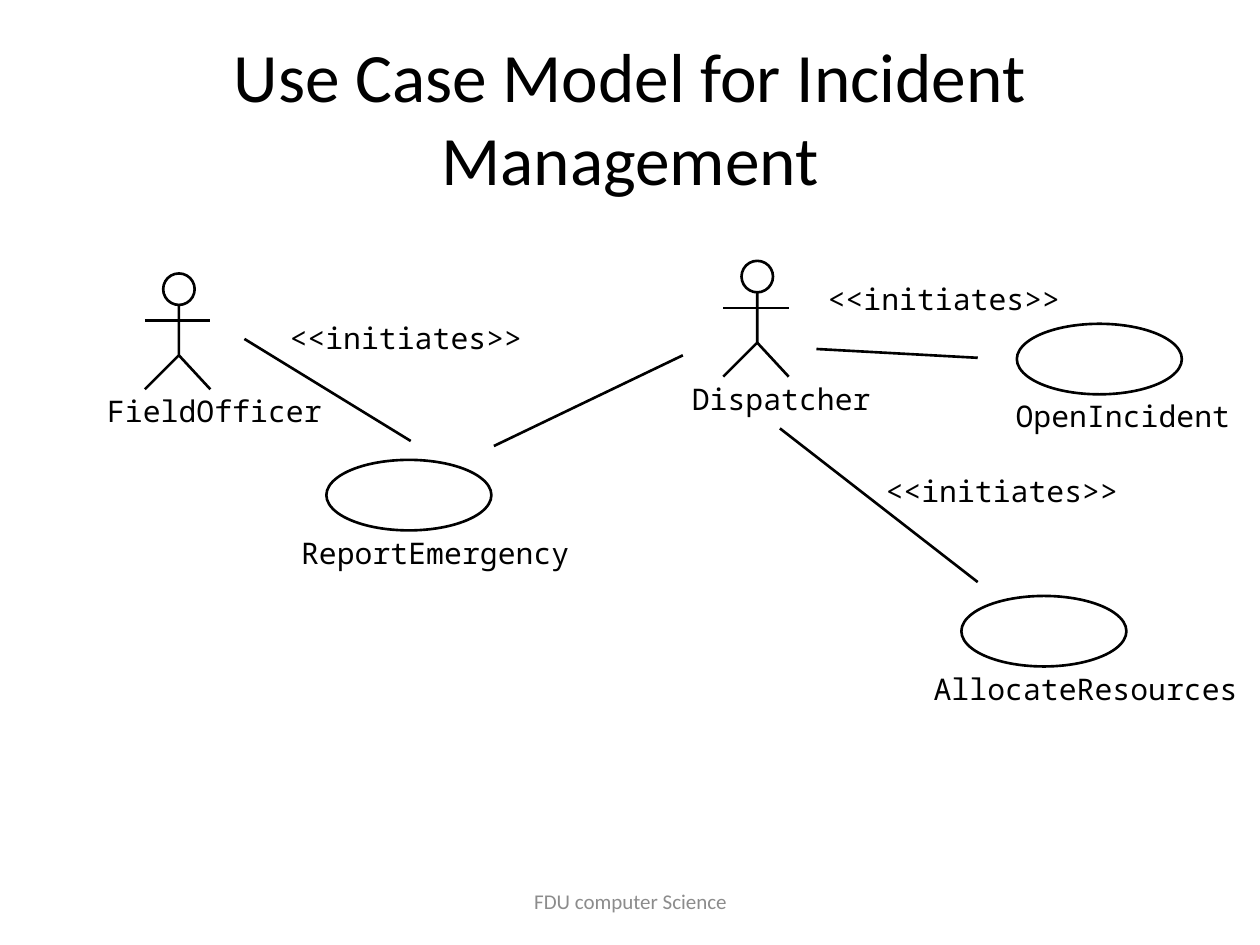
from lxml.etree import SubElement
from pptx import Presentation
from pptx.dml.color import RGBColor
from pptx.enum.shapes import MSO_CONNECTOR, MSO_SHAPE
from pptx.enum.text import MSO_ANCHOR, MSO_AUTO_SIZE, PP_ALIGN
from pptx.oxml.ns import qn
from pptx.util import Inches, Pt

BLACK = RGBColor(0, 0, 0)
WHITE = RGBColor(255, 255, 255)
GRAY = RGBColor(0x8C, 0x8C, 0x8C)

# Content: positions in inches
TITLE = "Use Case Model for Incident Management"
FOOTER = "FDU computer Science"
ACTORS = [  # name, centre x, head top, label left, label width
    ("FieldOfficer", 1.42, 2.17, 0.85, 1.71),
    ("Dispatcher", 6.01, 2.07, 5.49, 1.42),
]
USE_CASES = [  # name, ellipse left, ellipse top, label left, label width
    ("ReportEmergency", 2.59, 3.65, 2.39, 2.13),
    ("OpenIncident", 8.07, 2.57, 8.06, 1.71),
    ("AllocateResources", 7.63, 4.73, 7.41, 2.42),
]
ASSOCIATIONS = [  # start x, start y, end x, end y
    (1.94, 2.69, 3.26, 3.5),
    (6.19, 3.4, 7.76, 4.62),
    (6.48, 2.77, 7.76, 2.84),
    (3.92, 3.54, 5.42, 2.82),
]
INITIATES = "<<initiates>>"
INITIATES_POSITIONS = [(2.2, 2.49), (6.47, 2.18), (6.93, 3.7)]

TITLE_FONT = {"name": "Calibri", "size": Pt(39.6)}
LABEL_FONT = {"name": "Noto Sans Mono", "size": Pt(17)}
FOOTER_FONT = {"name": "Calibri", "size": Pt(12)}
NO_WRAP = {"word_wrap": False, "auto_size": MSO_AUTO_SIZE.SHAPE_TO_FIT_TEXT}
NO_MARGINS = dict.fromkeys(
    ("margin_left", "margin_top", "margin_right", "margin_bottom"), 0)
CENTERED = {"word_wrap": True, "auto_size": MSO_AUTO_SIZE.NONE,
            "vertical_anchor": MSO_ANCHOR.MIDDLE}


def apply(target, values):
    for name, value in values.items():
        setattr(target, name, value)


def write(shape, text, font, frame_format, color=BLACK, alignment=PP_ALIGN.LEFT):
    apply(shape.text_frame, frame_format)
    paragraph = shape.text_frame.paragraphs[0]
    paragraph.alignment = alignment
    run = paragraph.add_run()
    run.text = text
    apply(run.font, font)
    run.font.color.rgb = color


def add_text(slide, box, *text_and_format):
    write(slide.shapes.add_textbox(*map(Inches, box)), *text_and_format)


def outline(shape):
    shape.line.color.rgb = BLACK
    shape.line.width = Pt(1.5)


def add_line(slide, *ends):
    connector = slide.shapes.add_connector(MSO_CONNECTOR.STRAIGHT, *map(Inches, ends))
    outline(connector)
    SubElement(connector._element.spPr, qn("a:effectLst"))


def add_ellipse(slide, left, top, width, height, fill=None):
    ellipse = slide.shapes.add_shape(
        MSO_SHAPE.OVAL, *map(Inches, (left, top, width, height)))
    ellipse.shadow.inherit = False
    if fill is None:
        ellipse.fill.background()
    else:
        ellipse.fill.solid()
        ellipse.fill.fore_color.rgb = fill
    outline(ellipse)


def add_actor(slide, name, center, top, label_left, label_width):
    left, right = center - 0.27, center + 0.25
    hip, foot = top + 0.65, top + 0.92
    # Body and left leg
    builder = slide.shapes.build_freeform(
        Inches(center), Inches(top + 0.19), scale=1.0)
    builder.add_line_segments(
        [(Inches(center), Inches(hip)), (Inches(left), Inches(foot))], close=False)
    body = builder.convert_to_shape()
    body.shadow.inherit = False
    body.fill.background()
    outline(body)
    # Right leg, arms, head and name
    add_line(slide, center, hip, right, foot)
    add_line(slide, left, top + 0.375, right, top + 0.375)
    add_ellipse(slide, center - 0.125, top, 0.25, 0.25, WHITE)
    add_text(slide, (label_left, top + 0.95, label_width, 0.28),
             name, LABEL_FONT, NO_WRAP | NO_MARGINS)


def main():
    presentation = Presentation()
    presentation.slide_width = Inches(10)
    presentation.slide_height = Inches(7.5)
    slide = presentation.slides.add_slide(presentation.slide_layouts[5])

    # Title
    title = slide.shapes.title
    apply(title, {"left": Inches(0.5), "top": Inches(0.3),
                  "width": Inches(9), "height": Inches(1.25)})
    write(title, TITLE, TITLE_FONT, CENTERED, BLACK, PP_ALIGN.CENTER)

    # Actors and use cases
    for actor in ACTORS:
        add_actor(slide, *actor)
    for name, left, top, label_left, label_width in USE_CASES:
        add_ellipse(slide, left, top, 1.31, 0.56)
        add_text(slide, (label_left, top + 0.59, label_width, 0.28),
                 name, LABEL_FONT, NO_WRAP | NO_MARGINS)

    # Associations and their stereotypes
    for ends in ASSOCIATIONS:
        add_line(slide, *ends)
    for left, top in INITIATES_POSITIONS:
        add_text(slide, (left, top, 2.05, 0.38), INITIATES, LABEL_FONT, NO_WRAP)

    # Footer
    add_text(slide, (3.42, 6.95, 3.17, 0.4),
             FOOTER, FOOTER_FONT, CENTERED, GRAY, PP_ALIGN.CENTER)

    presentation.save("out.pptx")


if __name__ == "__main__":
    main()
